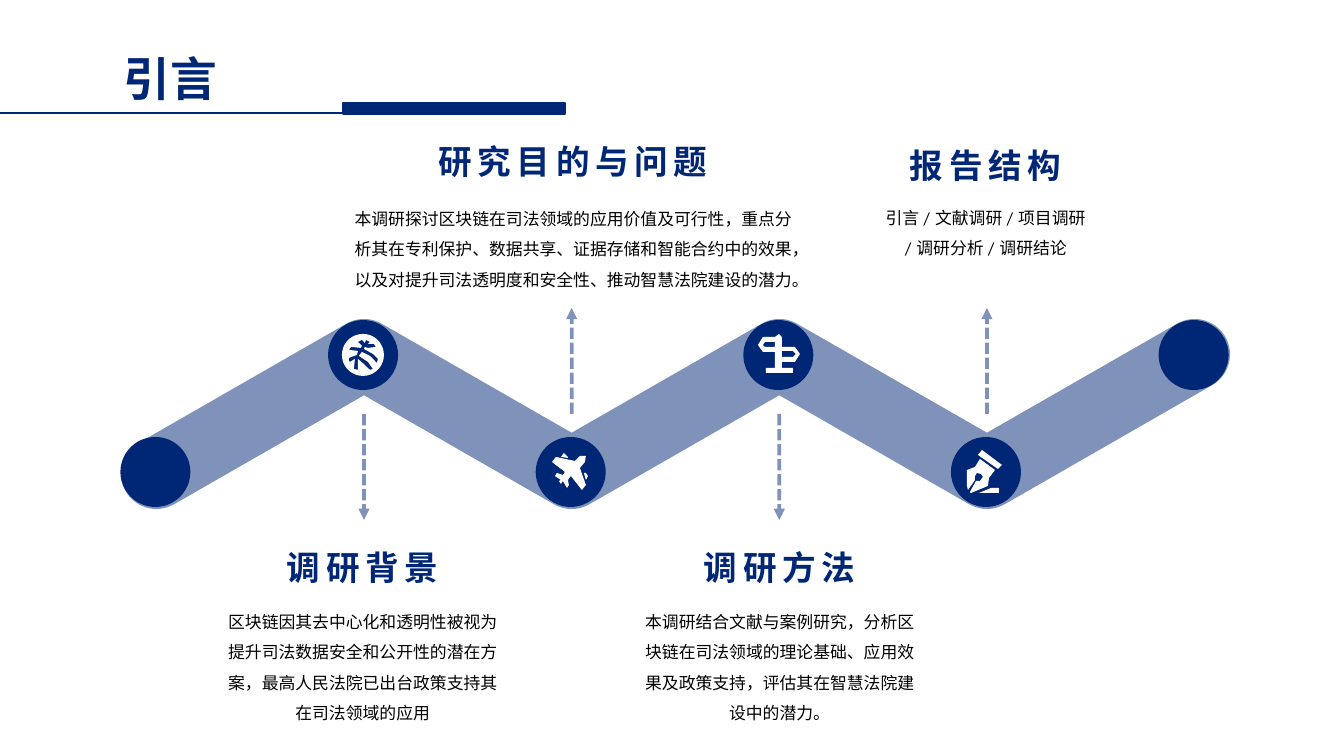
import math
from dataclasses import dataclass

from lxml import etree
from pptx import Presentation
from pptx import util as u
from pptx.dml.color import RGBColor
from pptx.enum import dml, shapes, text
from pptx.oxml.ns import qn

PX = 914400 / 134.4


@dataclass(frozen=True)
class Theme:
    navy: RGBColor = RGBColor(0x00, 0x27, 0x76)
    black: RGBColor = RGBColor(0, 0, 0)
    white: RGBColor = RGBColor(255, 255, 255)
    font: str = "League Spartan"
    title: int = 25
    heading: int = 18
    body: int = 9
    tint: int = 50


THEME = Theme()

# Each icon is a list of outlines; an outline inside another one is a hole.
BALL = [
    [(21 + 21 * math.cos(math.radians(a)), 20 + 21 * math.sin(math.radians(a)))
     for a in range(0, 360, 10)],
    [(9, 12), (7, 15), (16, 16), (15, 20), (7, 23), (7, 26), (8, 27), (13, 24), (12, 34),
     (16, 35), (16, 24), (23, 30), (28, 35), (31, 34), (26, 27), (17, 21), (20, 17),
     (28, 21), (35, 28), (36, 24), (31, 19), (22, 14), (23, 12), (26, 13), (34, 12),
     (32, 9), (26, 9), (28, 7), (24, 5), (23, 8), (20, 5), (16, 7), (20, 11), (19, 13)],
]
PLANE = [
    [(34, 3), (33, 9), (28, 15), (34, 32), (30, 37), (19, 23), (16, 27), (17, 32), (15, 35),
     (11, 28), (9, 31), (7, 28), (9, 27), (3, 23), (5, 20), (11, 22), (13, 19), (0, 9),
     (4, 4), (23, 8), (28, 3)],
    [(36, 23), (34, 20), (32, 20), (34, 27)],
    [(12, 0), (9, 4), (16, 5), (16, 4)],
]
SIGNPOST = [
    [(24, 13), (37, 13), (42, 20), (37, 28), (24, 28), (24, 34), (35, 34), (35, 39), (8, 39),
     (8, 34), (17, 34), (17, 18), (5, 18), (0, 11), (5, 3), (17, 3), (21, 0), (24, 3)],
    [(17, 8), (7, 8), (5, 11), (7, 13), (17, 13)],
    [(35, 17), (24, 17), (24, 23), (35, 23), (38, 20)],
]
PEN = [
    [(1, 40), (0, 36), (0, 20), (8, 17), (13, 9), (28, 20), (22, 28), (21, 36), (4, 43),
     (3, 42), (9, 31), (13, 31), (16, 27), (14, 24), (10, 23), (8, 26), (8, 30)],
    [(12, 43), (32, 43), (32, 38), (24, 38)],
    [(31, 19), (35, 15), (15, 0), (11, 5)],
]


def emu(px):
    return u.Emu(round(px * PX))


def set_tint(fill):
    """Make a solid fill partly transparent."""
    color = fill._xPr.find(qn("a:solidFill"))[0]
    etree.SubElement(color, qn("a:alpha"), val=str(THEME.tint * 1000))


def paint(shape, color):
    shape.shadow.inherit = False
    shape.fill.solid()
    shape.fill.fore_color.rgb = color
    shape.line.fill.background()
    return shape


def add_text(slide, box, *paragraphs, size, color=THEME.black, bold=False,
             spacing=0, line_spacing=None, wrap=True):
    shape = slide.shapes.add_textbox(*map(emu, box))
    frame = shape.text_frame
    frame.word_wrap = wrap
    frame.auto_size = text.MSO_AUTO_SIZE.SHAPE_TO_FIT_TEXT
    for index, content in enumerate(paragraphs):
        paragraph = frame.paragraphs[0] if index == 0 else frame.add_paragraph()
        paragraph.alignment = text.PP_ALIGN.CENTER
        if line_spacing:
            paragraph.line_spacing = line_spacing
        run = paragraph.add_run()
        run.text = content
        run.font.name = THEME.font
        run.font.size = u.Pt(size)
        run.font.bold = bold
        run.font.color.rgb = color
        if spacing:
            run.font._element.set("spc", str(spacing * 100))


def add_line(slide, start, end, width):
    line = slide.shapes.add_connector(
        shapes.MSO_CONNECTOR.STRAIGHT, *map(emu, (*start, *end)))
    line.line.color.rgb = THEME.navy
    line.line.width = u.Pt(width)
    etree.SubElement(line._element.spPr, qn("a:effectLst"))
    return line


def add_dashed_arrow(slide, start, end):
    arrow = add_line(slide, start, end, 2)
    arrow.line.dash_style = dml.MSO_LINE.SQUARE_DOT
    outline = arrow.line._get_or_add_ln()
    outline.find(qn("a:prstDash")).set("val", "sysDash")
    set_tint(arrow.line.fill)
    etree.SubElement(outline, qn("a:tailEnd"), type="triangle")


def add_outlines(slide, left, top, outlines, color):
    """Draw closed outlines, relative to left and top, as one filled shape."""
    scaled = [[(emu(left + x), emu(top + y)) for x, y in outline] for outline in outlines]
    builder = slide.shapes.build_freeform(*scaled[0][0], scale=1.0)
    for index, points in enumerate(scaled):
        if index:
            builder.move_to(*points[0])
        builder.add_line_segments(points[1:], close=True)
    return paint(builder.convert_to_shape(), color)


def arc(center, radius, start, end):
    steps = abs(end - start) // 6
    angles = [math.radians(start + (end - start) * i / steps) for i in range(steps + 1)]
    return [(center[0] + radius * math.cos(a), center[1] - radius * math.sin(a))
            for a in angles]


def zigzag_outline(centers, radius):
    """Outline a round-capped band that rises first and turns at each center."""
    inner = radius / math.cos(math.radians(30))
    turns = list(enumerate(centers))[1:-1]
    points = arc(centers[0], radius, 300, 120)
    for index, (x, y) in turns:
        points += arc((x, y), radius, 120, 60) if index % 2 else [(x, y - inner)]
    points += arc(centers[-1], radius, 120, -60)
    for index, (x, y) in reversed(turns):
        points += [(x, y + inner)] if index % 2 else arc((x, y), radius, -60, -120)
    return points


def add_header(slide, box):
    left, top, width, height = box
    base = top + height
    bar = slide.shapes.add_shape(
        shapes.MSO_SHAPE.RECTANGLE, *map(emu, (left + 343, base - 10, 222, 11)))
    paint(bar, THEME.navy)
    bar.line.color.rgb = THEME.navy
    bar.line.width = u.Pt(1)
    add_line(slide, (left + 508, base), (left, base), 0.75)
    add_text(slide, (left + 110, top, 121, height), "引言", size=THEME.title,
             color=THEME.navy, bold=True, wrap=False)


def add_timeline(slide, box):
    left, top, width, height = box
    radius, disc = 35.4, 70
    step = (width - 2 * radius) / 5
    centers = [(left + radius + step * i,
                top + radius if i % 2 else top + height - radius) for i in range(6)]
    band = add_outlines(slide, 0, 0, [zigzag_outline(centers, radius)], THEME.navy)
    set_tint(band.fill)

    for index, (x, y) in enumerate(centers):
        disc_top = top + 1 if index % 2 else top + height - disc - 2
        paint(slide.shapes.add_shape(
            shapes.MSO_SHAPE.OVAL,
            *map(emu, (x - disc / 2 - 1, disc_top, disc, disc))), THEME.navy)

    icons = [(BALL, 221, 16), (PLANE, 431, 134), (SIGNPOST, 637, 15), (PEN, 846, 131)]
    for outlines, x, y in icons:
        add_outlines(slide, left + x, top + y, outlines, THEME.white)

    middle = top + height / 2
    for index, (x, _) in enumerate(centers[1:-1], start=1):
        reach = 106 if index % 2 else -106
        add_dashed_arrow(slide, (x, middle), (x, middle + reach))


def add_topic(slide, box, heading, *body, body_top, heading_width=186, wrap=False):
    left, top, width, height = box
    add_text(slide, (left + (width - heading_width) / 2, top, heading_width, 54), heading,
             size=THEME.heading, color=THEME.navy, bold=True, spacing=3, wrap=wrap)
    add_text(slide, (left, top + body_top, width, height - body_top), *body,
             size=THEME.body, line_spacing=1.5)


def main():
    presentation = Presentation()
    presentation.slide_width, presentation.slide_height = emu(1344), emu(756)
    slide = presentation.slides.add_slide(presentation.slide_layouts[6])

    add_timeline(slide, (121, 319, 1109, 190))
    add_topic(slide, (212, 540, 301, 187), "调研背景",
              "区块链因其去中心化和透明性被视为提升司法数据安全和公开性的潜在方案，"
              "最高人民法院已出台政策支持其在司法领域的应用", body_top=55)
    add_topic(slide, (629, 540, 301, 187), "调研方法",
              "本调研结合文献与案例研究，分析区块链在司法领域的理论基础、应用效果及政策支持，"
              "评估其在智慧法院建设中的潜力。", body_top=55)
    add_topic(slide, (333, 134, 480, 160), "研究目的与问题",
              "本调研探讨区块链在司法领域的应用价值及可行性，重点分析其在专利保护、数据共享、"
              "证据存储和智能合约中的效果，以及对提升司法透明度和安全性、推动智慧法院建设的潜力。",
              body_top=58, heading_width=322, wrap=True)
    add_topic(slide, (838, 138, 295, 124), "报告结构",
              "引言 / 文献调研 / 项目调研", "/ 调研分析 / 调研结论", body_top=53)
    add_header(slide, (0, 43, 565, 70))
    presentation.save("out.pptx")


if __name__ == "__main__":
    main()
